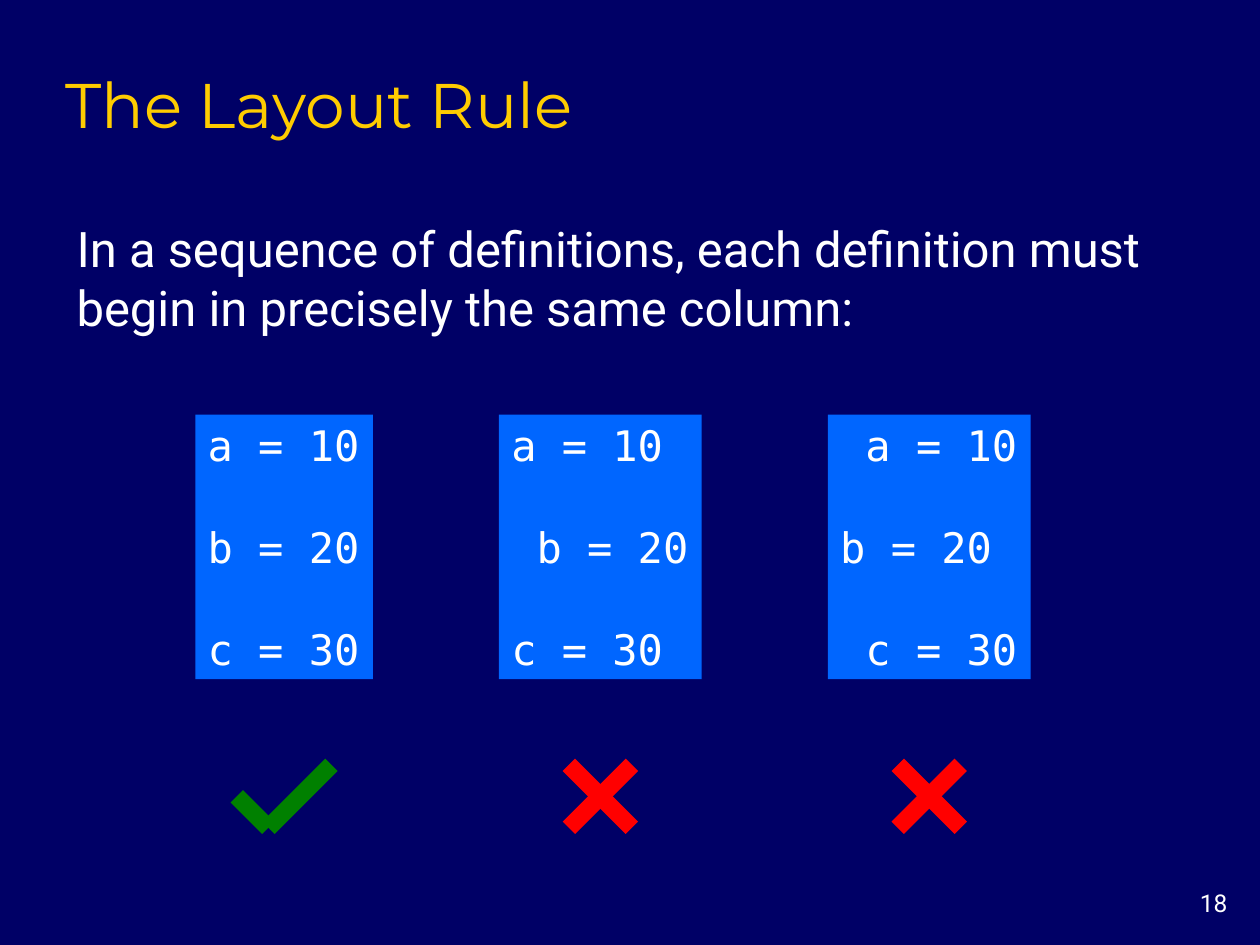
from dataclasses import dataclass
from lxml import etree
from pptx import Presentation
from pptx.dml.color import RGBColor
from pptx.enum.shapes import MSO_CONNECTOR, MSO_SHAPE
from pptx.enum.text import MSO_ANCHOR, MSO_AUTO_SIZE, PP_ALIGN
from pptx.oxml.ns import qn
from pptx.util import Inches, Pt

LINE, RECT = MSO_CONNECTOR.STRAIGHT, MSO_SHAPE.RECTANGLE
TOP, MIDDLE, BOTTOM = MSO_ANCHOR.TOP, MSO_ANCHOR.MIDDLE, MSO_ANCHOR.BOTTOM
LEFT, RIGHT = PP_ALIGN.LEFT, PP_ALIGN.RIGHT
NO_FIT = MSO_AUTO_SIZE.NONE


@dataclass
class Theme:
    """Colours and (font, size, colour) styles of the slide."""
    back: str = "000066"
    box: str = "0066FF"
    good: str = "008000"
    bad: str = "FF0000"
    title: tuple = ("Montserrat", 36, "FFCC00")
    body: tuple = ("Roboto", 28, "FFFFFF")
    code: tuple = ("DejaVu Sans Mono", 24, "FFFFFF")
    page: tuple = ("Roboto", 14, "FFFFFF")


def write(shape, lines, style, anchor=TOP, align=LEFT, wrap=True, gap=0):
    """Fill a shape with one paragraph per line in one style."""
    frame = shape.text_frame
    frame.text = "\n".join(lines)
    frame.auto_size, frame.word_wrap = NO_FIT, wrap
    frame.vertical_anchor = anchor
    name, size, color = style
    for i, para in enumerate(frame.paragraphs):
        para.alignment = align
        para.space_before = Pt(gap if i else 0)
        para.font.name, para.font.size = name, Pt(size)
        para.font.color.rgb = RGBColor.from_string(color)


def stroke(x1, y1, x2, y2, color):
    """Draw one thick stroke of a mark."""
    line = slide.shapes.add_connector(LINE, *map(Inches, (x1, y1, x2, y2)))
    line.line.width = Pt(10)
    line.line.color.rgb = RGBColor.from_string(color)
    etree.SubElement(line._element.spPr, qn("a:effectLst"))


theme = Theme()
deck = Presentation()
deck.slide_width, deck.slide_height = Inches(10), Inches(7.5)
slide = deck.slides.add_slide(deck.slide_layouts[5])
slide.background.fill.solid()
slide.background.fill.fore_color.rgb = RGBColor.from_string(theme.back)

title = slide.shapes.title
title.left, title.top, title.width, title.height = map(
    Inches, (0.42, 0.42, 8.5, 0.75))
write(title, ["The Layout Rule"], theme.title, BOTTOM)

body = slide.shapes.add_textbox(*map(Inches, (0.51, 1.69, 9.03, 1.03)))
write(body, ["In a sequence of definitions, each definition must "
             "begin in precisely the same column:"], theme.body, MIDDLE)

# Each case: box left, box width, code lines, whether it is valid
cases = [
    (1.55, 1.41, ["a = 10", "b = 20", "c = 30"], True),
    (3.96, 1.61, ["a = 10", " b = 20", "c = 30"], False),
    (6.57, 1.61, [" a = 10", "b = 20", " c = 30"], False),
]
box_top, box_high = 3.29, 2.1
mark_y, arm = 6.32, 0.25

for left, wide, code, valid in cases:
    box = slide.shapes.add_shape(
        RECT, *map(Inches, (left, box_top, wide, box_high)))
    box.shadow.inherit = False
    box.fill.solid()
    box.fill.fore_color.rgb = RGBColor.from_string(theme.box)
    box.line.fill.background()
    write(box, code, theme.code, MIDDLE, wrap=False, gap=29.5)

    mid, high, low = left + wide / 2, mark_y - arm, mark_y + arm
    if valid:
        foot = mid - arm / 2
        stroke(foot + 2 * arm, high, foot, low, theme.good)
        stroke(foot - arm, mark_y, foot, low, theme.good)
    else:
        stroke(mid - arm, high, mid + arm, low, theme.bad)
        stroke(mid + arm, high, mid - arm, low, theme.bad)

page = slide.shapes.add_textbox(*map(Inches, (9.17, 7, 0.67, 0.33)))
write(page, ["18"], theme.page, align=RIGHT)

deck.save("out.pptx")
